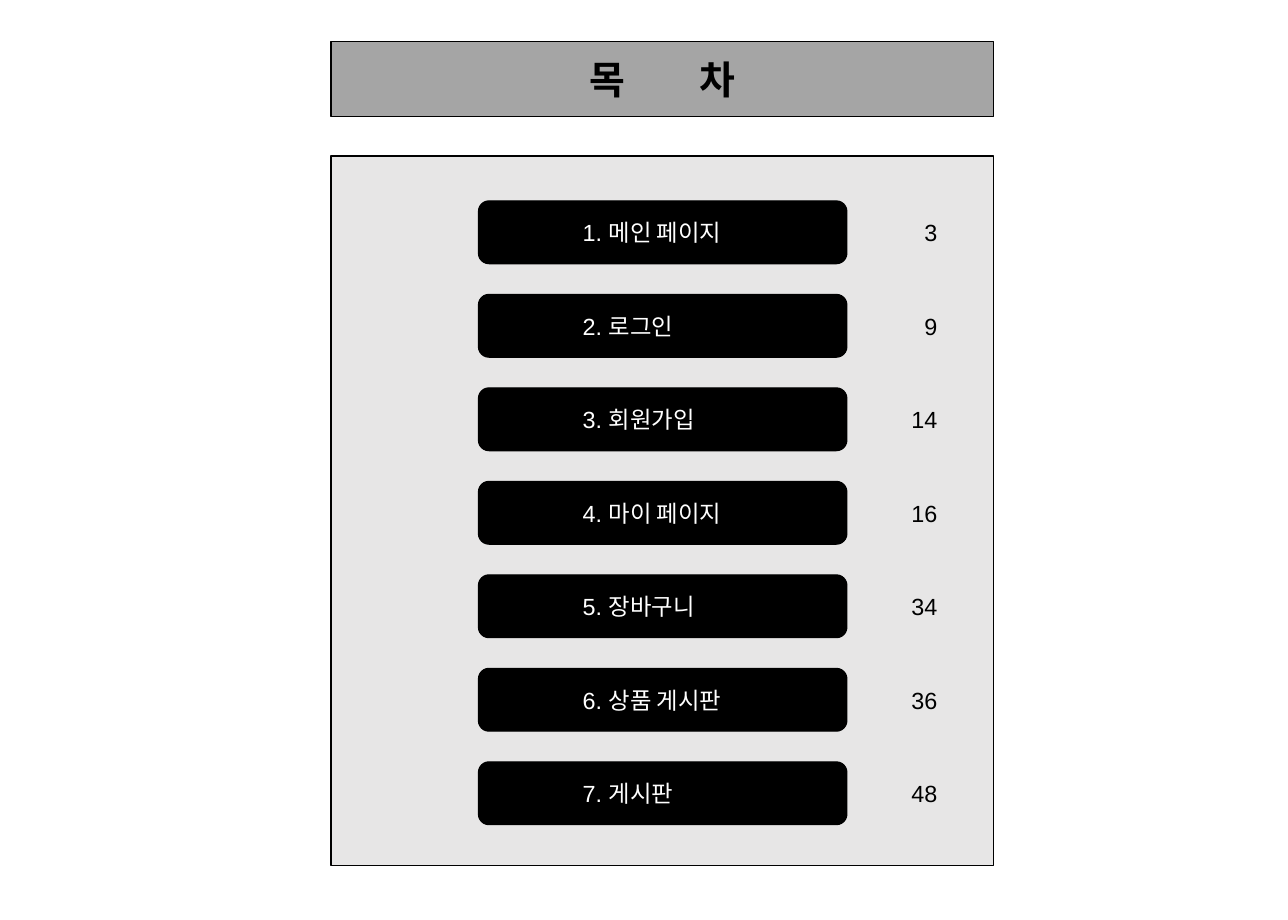
"""Build the table of contents slide."""
import pptx
import pptx.dml.color
import pptx.enum.shapes
import pptx.enum.text
import pptx.util

Inches = pptx.util.Inches
SHAPE = pptx.enum.shapes.MSO_SHAPE
ALIGN = pptx.enum.text.PP_ALIGN


def add_box(kind, left, top, width, height, fill=None):
    sp = slide.shapes.add_shape(
        kind, Inches(left), Inches(top), Inches(width), Inches(height))
    sp.shadow.inherit = False
    if fill:
        sp.fill.solid()
        sp.fill.fore_color.rgb = pptx.dml.color.RGBColor.from_string(fill)
        sp.line.color.rgb = pptx.dml.color.RGBColor.from_string("000000")
        sp.line.width = pptx.util.Pt(1)
    else:
        sp.fill.background()
        sp.line.fill.background()
    return sp


def add_text(sp, text, size=18, color="000000", bold=False,
             align=ALIGN.LEFT, spacing=0):
    tf = sp.text_frame
    tf.word_wrap = True
    tf.vertical_anchor = pptx.enum.text.MSO_ANCHOR.MIDDLE
    p = tf.paragraphs[0]
    p.alignment = align
    r = p.add_run()
    r.text = text
    r.font.name = "Arial"
    r.font.size = pptx.util.Pt(size)
    r.font.bold = bold
    r.font.color.rgb = pptx.dml.color.RGBColor.from_string(color)
    if spacing:
        r.font._element.set("spc", str(spacing * 100))


prs = pptx.Presentation()
prs.slide_width = Inches(13.78)
prs.slide_height = Inches(9.84)
slide = prs.slides.add_slide(prs.slide_layouts[6])

title = add_box(SHAPE.RECTANGLE, 3.54, 0.44, 7.09, 0.81, "A5A5A5")
for text, spacing in [("목", 0), (" ", 50), ("차", 0)]:
    add_text(title, text, size=30, bold=True, align=ALIGN.CENTER,
             spacing=spacing)

add_box(SHAPE.RECTANGLE, 3.54, 1.67, 7.09, 7.59, "E7E6E6")

sections = [
    ("메인 페이지", 3),
    ("로그인", 9),
    ("회원가입", 14),
    ("마이 페이지", 16),
    ("장바구니", 34),
    ("상품 게시판", 36),
    ("게시판", 48),
]
for i, (name, page) in enumerate(sections):
    top = 2.15 + i
    sp = add_box(SHAPE.ROUNDED_RECTANGLE, 5.12, top, 3.94, 0.67, "000000")
    sp.text_frame.margin_left = Inches(1.08)
    add_text(sp, f"{i + 1}. {name}", color="FFFFFF")
    sp = add_box(SHAPE.ROUNDED_RECTANGLE, 9.38, top, 0.78, 0.67)
    add_text(sp, str(page), align=ALIGN.RIGHT)

prs.save("out.pptx")
